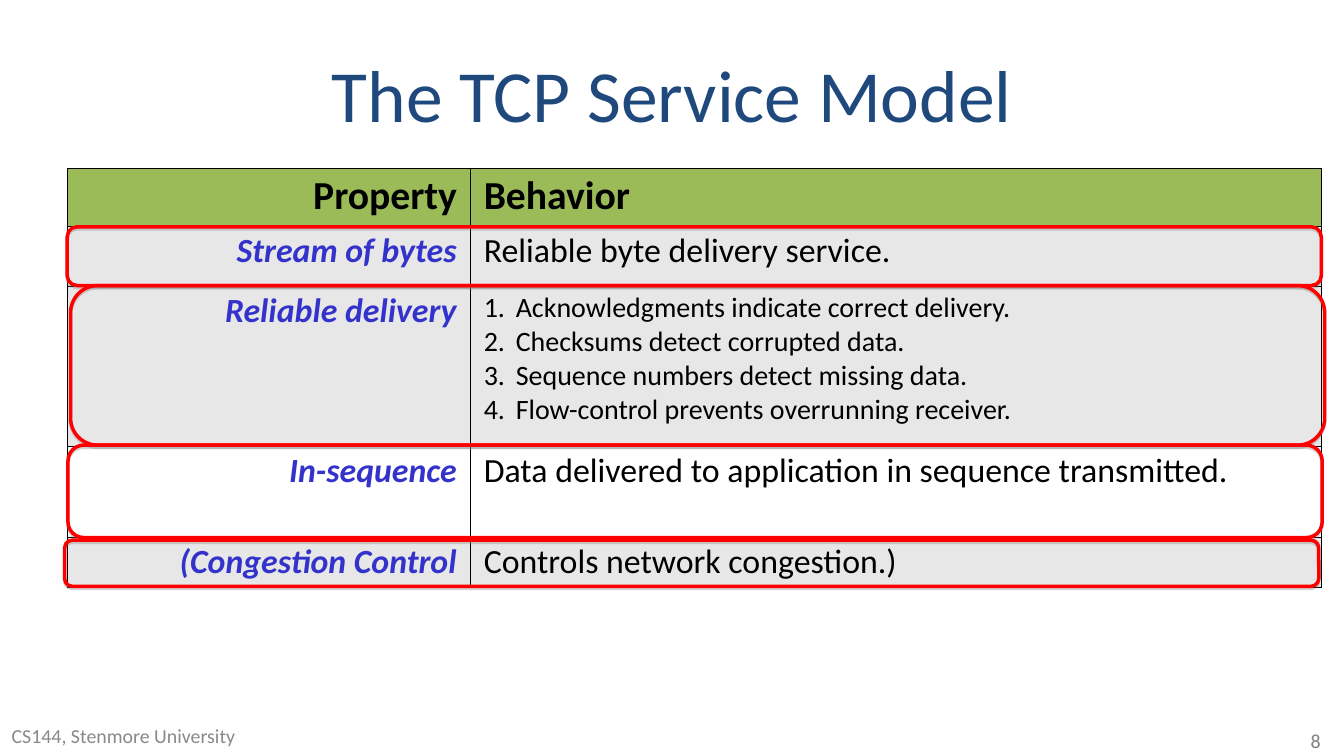
from lxml.etree import SubElement
from pptx import Presentation
from pptx.dml.color import RGBColor
from pptx.enum.shapes import MSO_SHAPE as Shape
from pptx.enum.text import MSO_ANCHOR as Anchor, PP_ALIGN as Align
from pptx.oxml.ns import qn
from pptx.util import Pt

BLACK = RGBColor(0x00, 0x00, 0x00)
WHITE = RGBColor(0xFF, 0xFF, 0xFF)
NAVY = RGBColor(0x1F, 0x49, 0x7D)
BLUE = RGBColor(0x33, 0x33, 0xCC)
GREEN = RGBColor(0x9B, 0xBB, 0x59)
PALE = RGBColor(0xE7, 0xE7, 0xE7)
GRAY = RGBColor(0x80, 0x80, 0x80)
FOOTER_GRAY = RGBColor(0x89, 0x89, 0x89)
RED = RGBColor(0xFF, 0x00, 0x00)

COLUMN_WIDTHS = (345.6, 729.4)
ROWS = (
    (49.7, GREEN, "Property", ("Behavior",)),
    (51.8, PALE, "Stream of bytes", ("Reliable byte delivery service.",)),
    (136.8, PALE, "Reliable delivery", (
        "Acknowledgments indicate correct delivery.",
        "Checksums detect corrupted data.",
        "Sequence numbers detect missing data.",
        "Flow-control prevents overrunning receiver.",
    )),
    (77.8, WHITE, "In-sequence", ("Data delivered to application in sequence transmitted.",)),
    (43.2, PALE, "(Congestion Control", ("Controls network congestion.)",)),
)
HIGHLIGHTS = (
    (57.6, 194.4, 50.4),
    (60.5, 244.8, 136.8),
    (58.3, 381.6, 79.2),
    (55.4, 463, 39.6),
)


def place(shape, left, top, width, height):
    """Move and size a shape, in points."""
    shape.left, shape.top = Pt(left), Pt(top)
    shape.width, shape.height = Pt(width), Pt(height)


def write(frame, *lines, size, color, bold=False, italic=False,
          align=Align.LEFT, anchor=Anchor.TOP, margins=(10, 5), numbered=False):
    """Fill a text frame or table cell with formatted paragraphs."""
    text_frame = getattr(frame, "text_frame", frame)
    frame.vertical_anchor = anchor
    frame.margin_left = frame.margin_right = Pt(margins[0])
    frame.margin_top = frame.margin_bottom = Pt(margins[1])
    text_frame.word_wrap = True
    text_frame.text = "\n".join(lines)
    for paragraph in text_frame.paragraphs:
        paragraph.alignment = align
        font = paragraph.runs[0].font
        font.name, font.size = "Calibri", Pt(size)
        font.bold, font.italic = bold, italic
        font.color.rgb = color
        if numbered:
            number_paragraph(paragraph)


def number_paragraph(paragraph):
    """Give a paragraph an automatic number and a hanging indent."""
    properties = paragraph._p.get_or_add_pPr()
    properties.set("marL", str(Pt(27.4)))
    properties.set("indent", str(Pt(-27.4)))
    SubElement(properties, qn("a:buAutoNum"), type="arabicPeriod")


def add_label(slide, text, left, top, width, height, **text_format):
    """Add a text box."""
    box = slide.shapes.add_textbox(Pt(left), Pt(top), Pt(width), Pt(height))
    write(box.text_frame, text, **text_format)


def style_cell(cell, fill):
    """Draw the borders of a cell and fill it."""
    properties = cell._tc.get_or_add_tcPr()
    for side in ("L", "R", "T", "B"):
        line = SubElement(properties, qn(f"a:ln{side}"), w=str(Pt(0.45)))
        SubElement(SubElement(line, qn("a:solidFill")), qn("a:srgbClr"), val=str(BLACK))
    cell.fill.solid()
    cell.fill.fore_color.rgb = fill


def add_service_table(slide):
    """Add the table of properties and behaviors."""
    height = sum(row[0] for row in ROWS)
    table = slide.shapes.add_table(
        len(ROWS), 2, Pt(57.6), Pt(144), Pt(sum(COLUMN_WIDTHS)), Pt(height)).table
    table.first_row = table.horz_banding = False
    for column, width in zip(table.columns, COLUMN_WIDTHS):
        column.width = Pt(width)
    for index, (height, fill, name, behavior) in enumerate(ROWS):
        header = index == 0
        numbered = len(behavior) > 1
        size = 34 if header else 29
        table.rows[index].height = Pt(height)
        name_cell, behavior_cell = table.cell(index, 0), table.cell(index, 1)
        for cell in (name_cell, behavior_cell):
            style_cell(cell, fill)
        write(name_cell, name, size=size, color=BLACK if header else BLUE, bold=True,
              italic=not header, align=Align.RIGHT, margins=(11.5, 3.6))
        write(behavior_cell, *behavior, size=24 if numbered else size, color=BLACK,
              bold=header, margins=(11.5, 3.6), numbered=numbered)


def add_highlight(slide, left, top, height):
    """Add a red rounded outline with a soft gray shadow around a row."""
    shape = slide.shapes.add_shape(
        Shape.ROUNDED_RECTANGLE, Pt(left), Pt(top), Pt(sum(COLUMN_WIDTHS)), Pt(height))
    shape.adjustments[0] = 0.17
    shape.fill.background()
    shape.line.color.rgb = RED
    shape.line.width = Pt(3)
    shape.shadow.inherit = False
    effects = shape._element.spPr.find(qn("a:effectLst"))
    shadow = SubElement(effects, qn("a:outerShdw"), dist=str(Pt(1.8)),
                        dir="5400000", rotWithShape="0")
    color = SubElement(shadow, qn("a:srgbClr"), val=str(GRAY))
    SubElement(color, qn("a:alpha"), val="35000")


def main():
    """Build the slide and save it."""
    presentation = Presentation()
    presentation.slide_width, presentation.slide_height = Pt(1152), Pt(648)
    slide = presentation.slides.add_slide(presentation.slide_layouts[5])
    title = slide.shapes.title
    place(title, 57.6, 26, 1036.8, 108)
    write(title.text_frame, "The TCP Service Model", size=63, color=NAVY,
          align=Align.CENTER, anchor=Anchor.MIDDLE)
    add_label(slide, "8", 902.2, 619.2, 239.8, 43.2, size=17, color=GRAY, align=Align.RIGHT)
    add_label(slide, "CS144, Stenmore University", 0, 613.4, 365, 34.6, size=17,
              color=FOOTER_GRAY, anchor=Anchor.MIDDLE)
    add_service_table(slide)
    for highlight in HIGHLIGHTS:
        add_highlight(slide, *highlight)
    presentation.save("out.pptx")


if __name__ == "__main__":
    main()
